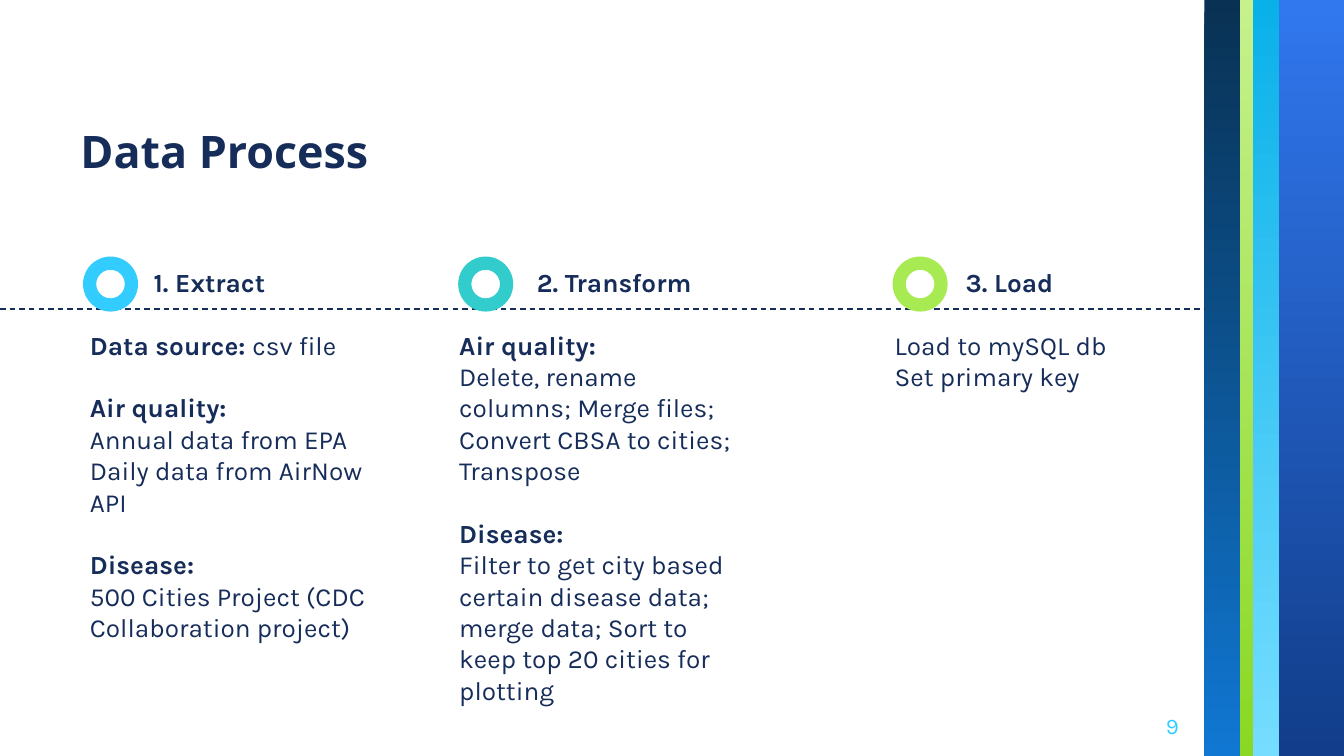
import pptx
import pptx.dml.color
import pptx.enum.dml
import pptx.enum.shapes
import pptx.enum.text
import pptx.oxml
import pptx.oxml.ns
import pptx.util

Cm = pptx.util.Cm
Pt = pptx.util.Pt
ALIGN = pptx.enum.text.PP_ALIGN
ANCHOR = pptx.enum.text.MSO_ANCHOR
SHAPE = pptx.enum.shapes.MSO_SHAPE

COLORS = {"navy": "162D5A", "sky": "33CCFF", "teal": "33CCCC", "lime": "A7EA52"}
FONT = "Karla"
WIDTH, HEIGHT = 25.4, 14.29
STRIPES_LEFT = 22.76

# Stripes from left to right: width, top colour, bottom colour
STRIPES = [
    (0.68, "093153", "1077D2"),
    (0.24, "C6F18D", "8AD824"),
    (0.49, "09B1E9", "75DDFF"),
    (1.23, "3177EE", "113D8A"),
]

# Each paragraph: bold part, plain part, whether it opens a new group
STEPS = [
    {"title": "1. Extract", "color": "sky", "ring": 1.57,
     "heading": (2.41, 3.1), "body": 1.45,
     "text": [("Data source: ", "csv file", False),
              ("Air quality:", "", True),
              ("", "Annual data from EPA", False),
              ("", "Daily data from AirNow API", False),
              ("Disease:", "", True),
              ("", "500 Cities Project (CDC Collaboration project)", False)]},
    {"title": "2. Transform", "color": "teal", "ring": 8.66,
     "heading": (9.45, 4.32), "body": 8.43,
     "text": [("Air quality:", "", False),
              ("", "Delete, rename columns; Merge files; "
                   "Convert CBSA to cities; Transpose", False),
              ("Disease:", "", True),
              ("", "Filter to get city based certain disease data; merge data; "
                   "Sort to keep top 20 cities for plotting", False)]},
    {"title": "3. Load", "color": "lime", "ring": 16.87,
     "heading": (17.53, 3.1), "body": 16.66,
     "text": [("", "Load to mySQL db", False),
              ("", "Set primary key", False)]},
]


def rgb(value):
    return pptx.dml.color.RGBColor.from_string(value)


def style(font, size, color="navy", bold=False, name=FONT):
    font.name, font.size, font.bold = name, Pt(size), bold
    font.color.rgb = rgb(COLORS[color])


def set_frame(tf, anchor=ANCHOR.TOP):
    tf.word_wrap = True
    tf.auto_size = pptx.enum.text.MSO_AUTO_SIZE.NONE
    tf.vertical_anchor = anchor
    tf.margin_left = tf.margin_right = tf.margin_top = tf.margin_bottom = Cm(0.25)


def add_box(s, x, y, w, h, anchor=ANCHOR.TOP):
    tf = s.shapes.add_textbox(Cm(x), Cm(y), Cm(w), Cm(h)).text_frame
    set_frame(tf, anchor)
    return tf


def add_label(s, text, x, y, w, h, align, anchor=ANCHOR.TOP, **font):
    tf = add_box(s, x, y, w, h, anchor)
    tf.text = text
    p = tf.paragraphs[0]
    p.alignment = align
    style(p.runs[0].font, **font)


def add_body(s, x, paragraphs):
    tf = add_box(s, x, 5.97, 5.87, 7.95)
    for i, (bold, plain, new_group) in enumerate(paragraphs):
        p = tf.add_paragraph() if i else tf.paragraphs[0]
        if new_group:
            p.space_before = Pt(16.8)
        for text, is_bold in ((bold, True), (plain, False)):
            if text:
                r = p.add_run()
                r.text = text
                style(r.font, 14, bold=is_bold)


def add_shape(s, kind, x, y, w, h):
    sp = s.shapes.add_shape(kind, Cm(x), Cm(y), Cm(w), Cm(h))
    sp.shadow.inherit = False
    sp.line.fill.background()
    return sp


def add_stripe(s, x, w, top, bottom):
    sp = add_shape(s, SHAPE.RECTANGLE, x, 0, w, HEIGHT)
    sp.fill.gradient()
    sp.fill.gradient_angle = 270
    for stop, color in zip(sp.fill.gradient_stops, (top, bottom)):
        stop.color.rgb = rgb(color)


def add_ring(s, x, color):
    sp = add_shape(s, SHAPE.DONUT, x, 4.85, 1.04, 1.04)
    sp.adjustments[0] = 0.24
    sp.fill.solid()
    sp.fill.fore_color.rgb = rgb(COLORS[color])


def add_timeline(s, y):
    line = s.shapes.add_connector(
        pptx.enum.shapes.MSO_CONNECTOR.STRAIGHT, 0, Cm(y), Cm(STRIPES_LEFT), Cm(y))
    line.line.color.rgb = rgb(COLORS["navy"])
    line.line.width = Pt(0.75)
    line.line.dash_style = pptx.enum.dml.MSO_LINE.DASH
    props = line._element.find(pptx.oxml.ns.qn("p:spPr"))
    props.append(pptx.oxml.parse_xml(
        "<a:effectLst %s/>" % pptx.oxml.ns.nsdecls("a")))


def set_title(s, text):
    sp = s.shapes.title
    sp.left, sp.top, sp.width, sp.height = Cm(1.27), Cm(1.57), Cm(14.73), Cm(2.03)
    tf = sp.text_frame
    set_frame(tf, ANCHOR.BOTTOM)
    tf.text = text
    p = tf.paragraphs[0]
    p.alignment = ALIGN.LEFT
    style(p.runs[0].font, 24, bold=True, name="Noto Sans")


def main():
    prs = pptx.Presentation()
    prs.slide_width, prs.slide_height = Cm(WIDTH), Cm(HEIGHT)
    s = prs.slides.add_slide(prs.slide_layouts[5])

    # Side stripes
    x = STRIPES_LEFT
    for width, top, bottom in STRIPES:
        add_stripe(s, x, width, top, bottom)
        x += width

    # Title and page number
    set_title(s, "Data Process")
    add_label(s, "9", 21.01, 13.18, 1.52, 1.09, ALIGN.RIGHT, ANCHOR.MIDDLE,
              size=12, color="sky")

    # Timeline with its three steps
    add_timeline(s, 5.84)
    for step in STEPS:
        add_ring(s, step["ring"], step["color"])
        left, width = step["heading"]
        add_label(s, step["title"], left, 4.78, width, 1.04, ALIGN.CENTER,
                  size=14, bold=True)
        add_body(s, step["body"], step["text"])

    prs.save("out.pptx")


if __name__ == "__main__":
    main()
